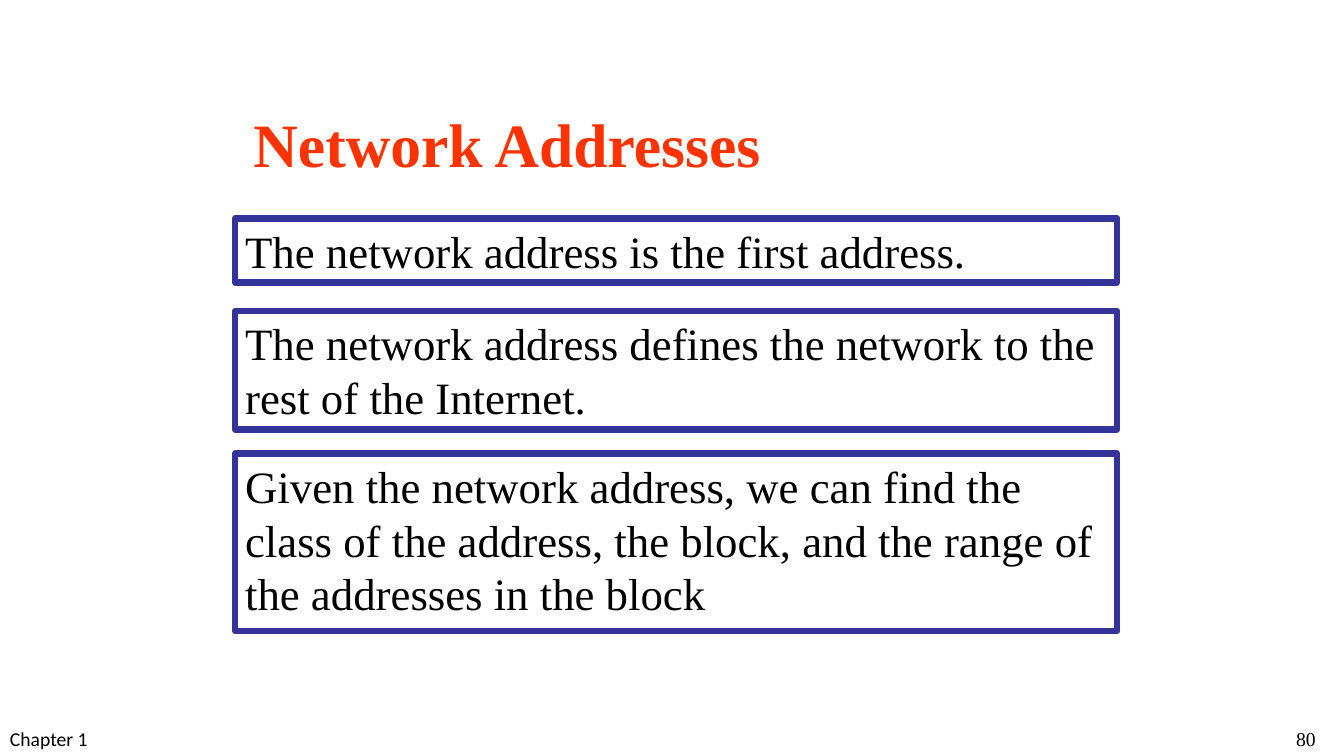
from pptx import Presentation, util as u
from pptx.dml.color import RGBColor
from pptx.enum import shapes, text

PX = 9525
INK = {"head": "FF3300", "edge": "333399", "body": "000000"}
SERIF = "Times New Roman"


def rgb(name):
    return RGBColor.from_string(INK[name])


def write(shape, words, size, face=SERIF, ink="body", bold=False, wrap=True):
    frame = shape.text_frame
    frame.word_wrap = wrap
    frame.vertical_anchor = text.MSO_ANCHOR.TOP
    para = frame.paragraphs[0]
    para.alignment = text.PP_ALIGN.LEFT
    run = para.add_run()
    run.text = words
    font = run.font
    font.size, font.name, font.bold = u.Pt(size), face, bold
    font.color.rgb = rgb(ink)


def label(slide, box, words, size, **form):
    shape = slide.shapes.add_textbox(*(n * PX for n in box))
    write(shape, words, size, **form)


def panel(slide, box, words):
    shape = slide.shapes.add_shape(
        shapes.MSO_SHAPE.RECTANGLE, *(n * PX for n in box))
    shape.shadow.inherit = False
    shape.fill.background()
    shape.line.color.rgb = rgb("edge")
    shape.line.width = u.Pt(4.5)
    write(shape, words, 32)


def footer(slide, box):
    left, top, wide, high = box
    label(slide, (left, top, 309, high), "Chapter 1", 14, face="Calibri")
    label(slide, (left + wide - 55, top, 41, high), "80", 14, wrap=False)


def facts(slide, box):
    left, top, wide, high = box
    rows = [
        (0, 61, "The network address is the first address."),
        (88, 113, "The network address defines the network to the "
                  "rest of the Internet."),
        (224, high - 224, "Given the network address, we can find the class "
                          "of the address, the block, and the range of the "
                          "addresses in the block"),
    ]
    for down, tall, words in rows:
        panel(slide, (left, top + down, wide, tall), words)


def main():
    deck = Presentation()
    deck.slide_width, deck.slide_height = 1280 * PX, 720 * PX
    slide = deck.slides.add_slide(deck.slide_layouts[6])
    footer(slide, (0, 688, 1280, 32))
    label(slide, (232, 96, 528, 80), "Network Addresses", 44,
          ink="head", bold=True)
    facts(slide, (224, 208, 840, 393))
    deck.save("out.pptx")


if __name__ == "__main__":
    main()
